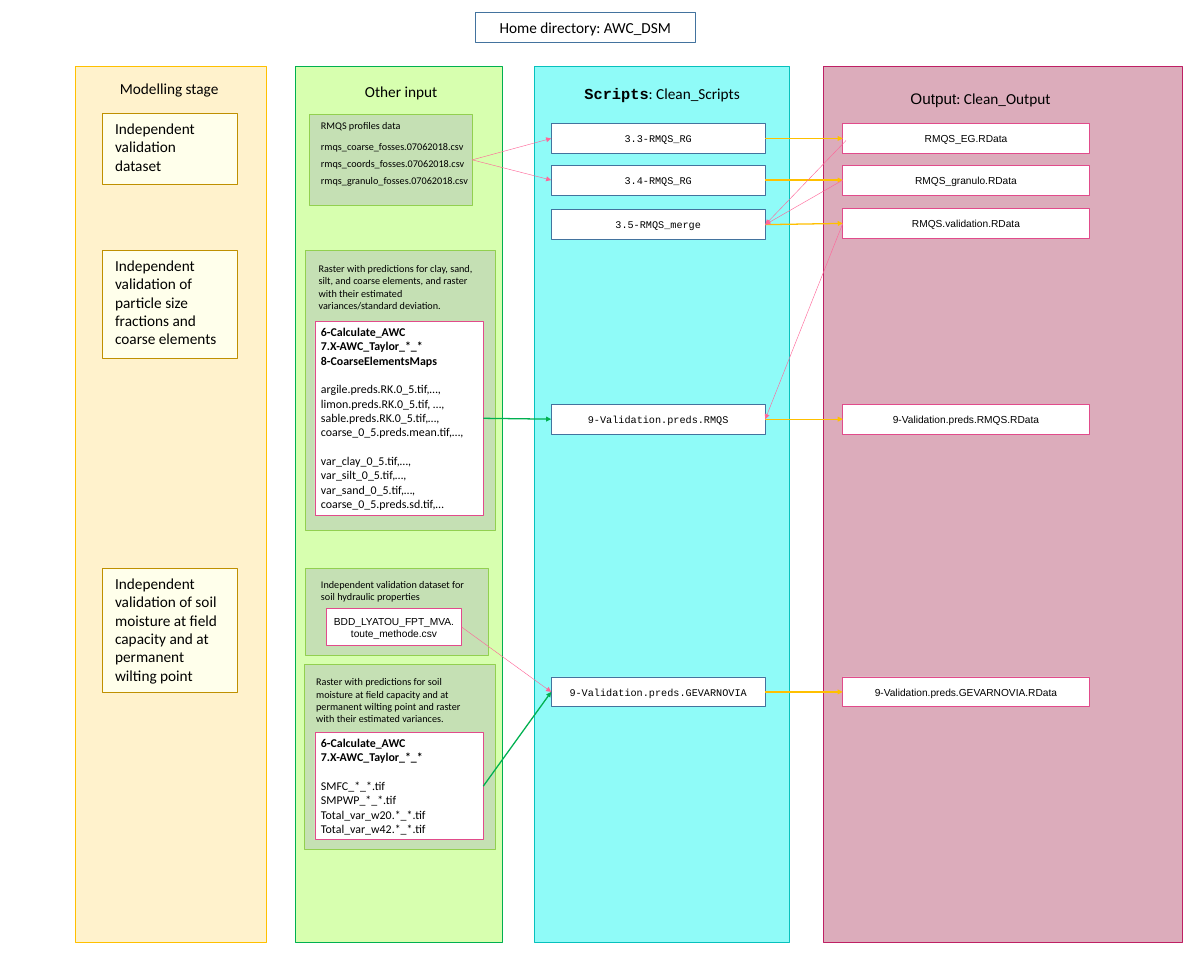
from lxml import etree
from pptx import Presentation
from pptx import util as u
from pptx.dml.color import RGBColor
from pptx.enum import shapes as s, text as t
from pptx.oxml import ns

BLACK = RGBColor(0x00, 0x00, 0x00)
WHITE = RGBColor(0xFF, 0xFF, 0xFF)
BLUE = RGBColor(0x43, 0x73, 0x9E)
ROSE = RGBColor(0xE1, 0x4B, 0x8B)
PINK = RGBColor(0xFF, 0x66, 0x99)
GOLD = RGBColor(0xFF, 0xC0, 0x00)
GREEN = RGBColor(0x00, 0xB0, 0x50)
LIME = RGBColor(0x92, 0xD0, 0x50)
SAGE = RGBColor(0xC5, 0xE0, 0xB4)
IVORY = RGBColor(0xFF, 0xFF, 0xEB)
OCHRE = RGBColor(0xBF, 0x90, 0x00)
CREAM = RGBColor(0xFF, 0xF2, 0xCC)
MINT = RGBColor(0xD7, 0xFF, 0xAF)
AQUA = RGBColor(0x8F, 0xFB, 0xF8)
TEAL = RGBColor(0x07, 0xC1, 0xBD)
MAUVE = RGBColor(0xDC, 0xAC, 0xBB)
WINE = RGBColor(0xBE, 0x20, 0x64)

SANS, ARIAL, MONO = "Calibri", "Arial", "Courier New"
MID, LEFT = t.PP_ALIGN.CENTER, t.PP_ALIGN.LEFT
PAD = (0.25, 0.13, 0.25)

COLS = [
    (3.15, 7.9, CREAM, GOLD, (4.7, 3.18, 4.65), [("Modelling stage", SANS, False)]),
    (12.29, 8.56, MINT, GREEN, (14.88, 3.28, 3.56), [("Other input", SANS, False)]),
    (22.2, 10.59, AQUA, TEAL, (23.98, 3.35, 7.04),
     [("Scripts", MONO, True), (": Clean_Scripts", SANS, False)]),
    (34.21, 14.88, MAUVE, WINE, (37.52, 3.58, 6.4),
     [("Output", ARIAL, False), (": Clean_Output", SANS, False)]),
]

STAGES = [
    (4.7, 2.95, "Independent validation dataset"),
    (10.39, 4.5, "Independent validation of particle size fractions and coarse elements"),
    (23.6, 5.16, "Independent validation of soil moisture at field capacity "
                 "and at permanent wilting point"),
]

PANELS = {
    "rmqs": ((12.85, 4.75, 6.76, 3.78), (0.48, 0.2, 0), [
        ("RMQS profiles data", 0), ("rmqs_coarse_fosses.07062018.csv", 10),
        ("rmqs_coords_fosses.07062018.csv", 6), ("rmqs_granulo_fosses.07062018.csv", 6)]),
    "size": ((12.67, 10.39, 7.92, 11.63), (0.56, 0.51, 0.76), [
        ("Raster with predictions for clay, sand, silt, and coarse elements, and raster "
         "with their estimated variances/standard deviation.", 0)]),
    "hydro": ((12.67, 23.6, 7.62, 3.63), (0.66, 0.41, 0.66), [
        ("Independent validation dataset for soil hydraulic properties", 0)]),
    "soil": ((12.65, 27.61, 7.92, 7.67), (0.48, 0.46, 0.84), [
        ("Raster with predictions for soil moisture at field capacity and at permanent "
         "wilting point and raster with their estimated variances.", 0)]),
}

LISTS = {
    "maps": (13.36, 8.03, [
        ["6-Calculate_AWC", "7.X-AWC_Taylor_*_*", "8-CoarseElementsMaps"],
        ["argile.preds.RK.0_5.tif,…,", "limon.preds.RK.0_5.tif, …,",
         "sable.preds.RK.0_5.tif,…,", "coarse_0_5.preds.mean.tif,…,"],
        ["var_clay_0_5.tif,…,", "var_silt_0_5.tif,…,", "var_sand_0_5.tif,…,",
         "coarse_0_5.preds.sd.tif,…"]]),
    "water": (30.43, 4.45, [
        ["6-Calculate_AWC", "7.X-AWC_Taylor_*_*"],
        ["SMFC_*_*.tif", "SMPWP_*_*.tif", "Total_var_w20.*_*.tif", "Total_var_w42.*_*.tif"]]),
}

ROWS = [
    ("rg3", 5.13, 5.13, "3.3-RMQS_RG", "RMQS_EG.RData"),
    ("rg4", 6.86, 6.86, "3.4-RMQS_RG", "RMQS_granulo.RData"),
    ("merge", 8.71, 8.66, "3.5-RMQS_merge", "RMQS.validation.RData"),
    ("valid", 16.79, 16.79, "9-Validation.preds.RMQS", "9-Validation.preds.RMQS.RData"),
    ("gevar", 28.12, 28.12, "9-Validation.preds.GEVARNOVIA",
     "9-Validation.preds.GEVARNOVIA.RData"),
]

LINKS = [
    ("rmqs", "rg3", PINK), ("rmqs", "rg4", PINK),
    ("maps", "valid", GREEN), ("water", "gevar", GREEN), ("data", "gevar", PINK),
]
BACKS = [("rg4", "merge"), ("merge", "valid")]
START = (35.13, 5.84)

deck = Presentation()
deck.slide_width, deck.slide_height = u.Cm(50), u.Cm(40)
page = deck.slides.add_slide(deck.slide_layouts[6])


def box(area, fill, edge, wide=1):
    rect = page.shapes.add_shape(s.MSO_SHAPE.RECTANGLE, *map(u.Cm, area))
    rect.shadow.inherit = False
    rect.fill.solid()
    rect.fill.fore_color.rgb = fill
    rect.line.color.rgb = edge
    rect.line.width = u.Pt(wide)
    return rect


def write(shape, lines, size, side=LEFT, pad=PAD, mid=False, wrap=True):
    frame = shape.text_frame
    frame.word_wrap = wrap
    frame.vertical_anchor = t.MSO_ANCHOR.MIDDLE if mid else t.MSO_ANCHOR.TOP
    frame.margin_left, frame.margin_top, frame.margin_right = map(u.Cm, pad)
    for n, (runs, gap) in enumerate(lines):
        para = frame.paragraphs[0] if n == 0 else frame.add_paragraph()
        para.alignment = side
        para.space_before = u.Pt(gap)
        for words, face, bold in runs:
            run = para.add_run()
            run.text = words
            run.font.name, run.font.size, run.font.bold = face, u.Pt(size), bold
            run.font.color.rgb = BLACK
    return shape


def label(area, edge, words, face, size=12):
    return write(box(area, WHITE, edge), [([(words, face, False)], 0)], size, MID, mid=True)


def arrow(tail, head, hue, wide, ports=(3, 1)):
    start = START if tail is None else (0, 0)
    link = page.shapes.add_connector(
        s.MSO_CONNECTOR.STRAIGHT, *map(u.Cm, start + (0, 0)))
    if tail is not None:
        link.begin_connect(tail, ports[0])
    link.end_connect(head, ports[1])
    link.line.color.rgb = hue
    link.line.width = u.Pt(wide)
    tip = etree.SubElement(link.line._get_or_add_ln(), ns.qn("a:tailEnd"))
    tip.set("type", "triangle")
    etree.SubElement(link._element.spPr, ns.qn("a:effectLst"))


label((19.74, 0.53, 9.14, 1.24), BLUE, "Home directory: AWC_DSM", SANS, 18)

for x, w, fill, edge, (left, top, wide), runs in COLS:
    box((x, 2.77, w, 36.37), fill, edge)
    title = page.shapes.add_textbox(*map(u.Cm, (left, top, wide, 1.02)))
    write(title, [(runs, 0)], 18, MID, wrap=False)

for y, h, words in STAGES:
    write(box((4.27, y, 5.61, h), IVORY, OCHRE),
          [([(words, SANS, False)], 0)], 18, pad=(0.51, 0.25, 0.58))

nodes, outs = {}, {}
for key, (area, pad, lines) in PANELS.items():
    nodes[key] = write(box(area, SAGE, LIME),
                       [([(words, SANS, False)], gap) for words, gap in lines], 12, pad=pad)

for key, (y, h, groups) in LISTS.items():
    lines = [([(words, SANS, g == 0)], 17 if g and n == 0 else 0)
             for g, group in enumerate(groups) for n, words in enumerate(group)]
    nodes[key] = write(box((13.08, y, 6.99, h), WHITE, ROSE, 0.75), lines, 14)

nodes["data"] = label((13.56, 25.27, 5.61, 1.55), ROSE,
                      "BDD_LYATOU_FPT_MVA.toute_methode.csv", ARIAL)

for key, y, low, code, data in ROWS:
    nodes[key] = label((22.89, y, 8.89, 1.24), BLUE, code, MONO)
    outs[key] = label((35, low, 10.24, 1.24), ROSE, data, ARIAL)
    arrow(nodes[key], outs[key], GOLD, 1.5)

for tail, head, hue in LINKS:
    arrow(nodes[tail], nodes[head], hue, 0.5 if hue == PINK else 1.5)

arrow(None, nodes["merge"], PINK, 0.5, (1, 3))
for tail, head in BACKS:
    arrow(outs[tail], nodes[head], PINK, 0.5, (1, 3))

deck.save("out.pptx")
